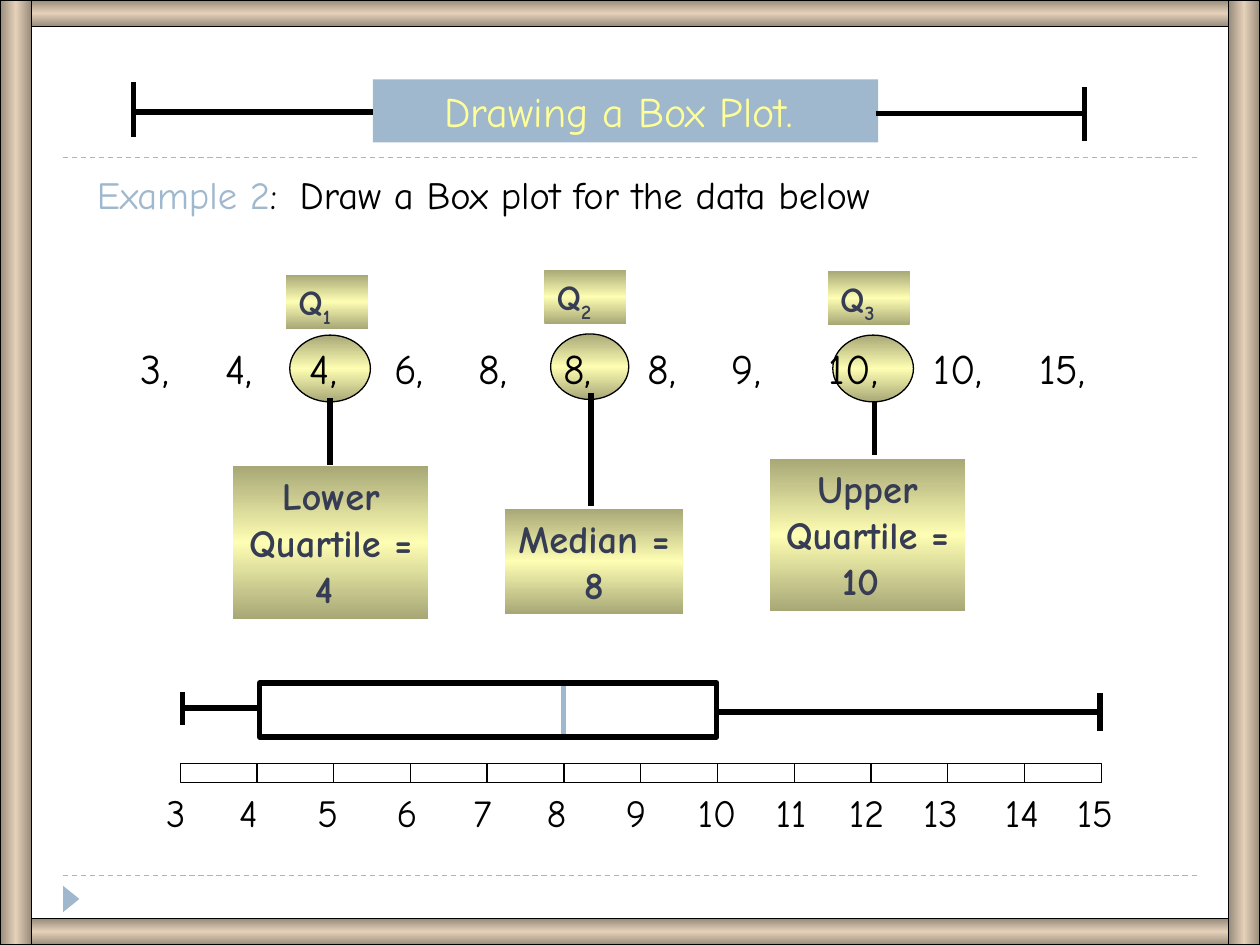
from copy import deepcopy

from lxml import etree
from pptx import Presentation
from pptx.dml.color import RGBColor
from pptx.enum import dml, shapes, text
from pptx.oxml.ns import qn
from pptx.util import Inches, Pt

COLORS = {
    "black": "000000",
    "blue": "9FB8CD",
    "navy": "363C53",
    "yellow": "FFFF99",
    "olive": "A8A877",
    "cream": "FDFDB3",
    "brown": "988B7B",
    "tan": "E5D1B9",
}
RGB = {name: RGBColor.from_string(value) for name, value in COLORS.items()}
FONT = "Comic Neue"
GOLD = ("olive", "cream", 90)
RECTANGLE = shapes.MSO_SHAPE.RECTANGLE
CENTER = text.PP_ALIGN.CENTER

presentation = Presentation()
presentation.slide_width = Inches(10)
presentation.slide_height = Inches(7.5)
slide = presentation.slides.add_slide(presentation.slide_layouts[6])


def add_line(x1, y1, x2, y2, color="black", width=3):
    line = slide.shapes.add_connector(
        shapes.MSO_CONNECTOR.STRAIGHT, Inches(x1), Inches(y1), Inches(x2), Inches(y2))
    line.line.color.rgb = RGB[color]
    line.line.width = Pt(width)
    etree.SubElement(line._element.spPr, qn("a:effectLst"))
    return line


def add_box(kind, left, top, width, height, fill=None, line=0, words="",
            size=22, color="black", bold=False, align=None, tabs=()):
    """Add a shape, or a text box if kind is None; a (edge, middle, angle) fill is a gradient."""
    place = [Inches(length) for length in (left, top, width, height)]
    if kind is None:
        shape = slide.shapes.add_textbox(*place)
    else:
        shape = slide.shapes.add_shape(kind, *place)
        shape.shadow.inherit = False
        if fill is None:
            shape.fill.background()
        elif isinstance(fill, str):
            shape.fill.solid()
            shape.fill.fore_color.rgb = RGB[fill]
        else:
            edge, middle, angle = fill
            shape.fill.gradient()
            shape.fill.gradient_angle = angle
            stop_list = shape._element.spPr.find(qn("a:gradFill")).find(qn("a:gsLst"))
            stop_list.append(deepcopy(stop_list[0]))
            for i, stop in enumerate(shape.fill.gradient_stops):
                stop.position = i / 2
                stop.color.rgb = RGB[middle if i == 1 else edge]
        if line:
            shape.line.color.rgb = RGB["black"]
            shape.line.width = Pt(line)
        else:
            shape.line.fill.background()
    if words:
        frame = shape.text_frame
        frame.word_wrap = True
        frame.vertical_anchor = text.MSO_ANCHOR.TOP
        paragraph = frame.paragraphs[0]
        paragraph.alignment = align or text.PP_ALIGN.LEFT
        if tabs:
            tab_list = etree.SubElement(paragraph._p.get_or_add_pPr(), qn("a:tabLst"))
            for tab in tabs:
                etree.SubElement(tab_list, qn("a:tab"), pos=str(Inches(tab)), algn="l")
        paragraph.font.name = FONT
        paragraph.font.size = Pt(size)
        paragraph.font.bold = bold
        paragraph.font.color.rgb = RGB[color]
        paragraph.add_run().text = words
    return shape


# Dashed rules and corner marker
for y in (6.95, 1.25):
    add_line(0.5, y, 9.5, y, "blue", 0.75).line.dash_style = dml.MSO_LINE.DASH
marker = add_box(shapes.MSO_SHAPE.ISOSCELES_TRIANGLE, 0.46, 7.07, 0.21, 0.13, "blue")
marker.rotation = 90

# Quartiles: ring, pointer, result box and Q label
quartiles = [
    ("3", (6.61, 2.66, 0.64, 0.53), (6.94, 3.18, 3.61),
     (6.11, 3.64, 1.55, 1.21), "Upper Quartile = 10 ", (6.57, 2.15)),
    ("1", (2.3, 2.66, 0.64, 0.53), (2.62, 3.16, 3.69),
     (1.85, 3.7, 1.55, 1.21), "Lower Quartile = 4 ", (2.27, 2.18)),
    ("2", (4.37, 2.65, 0.62, 0.52), (4.69, 3.12, 4.02),
     (4.01, 4.04, 1.41, 0.83), "Median = 8", (4.32, 2.14)),
]
for number, ring, (x, top, bottom), result, words, label in quartiles:
    add_box(shapes.MSO_SHAPE.OVAL, *ring, GOLD, 0.75)
    add_box(RECTANGLE, *result, GOLD, words=words, color="navy", bold=True, align=CENTER)
    add_line(x, top, x, bottom)
    name = add_box(RECTANGLE, *label, 0.65, 0.43, GOLD, words="Q",
                   size=20, color="navy", bold=True)
    subscript = name.text_frame.paragraphs[0].add_run()
    subscript.text = number
    subscript._r.get_or_add_rPr().set("baseline", "-25000")

# Data row and task
data = (3, 4, 4, 6, 8, 8, 8, 9, 10, 10, 15)
data_tabs = [round(0.67 * i, 2) for i in range(1, 8)] + [5.46, 6.29, 7.13]
add_box(None, 1.02, 2.67, 8.12, 0.5, words="\t".join(f"{value}," for value in data),
        size=24, tabs=data_tabs)
task = add_box(None, 0.67, 1.31, 9.02, 0.47, words="Example 2", tabs=[1.61])
task_paragraph = task.text_frame.paragraphs[0]
task_paragraph.runs[0].font.color.rgb = RGB["blue"]
task_paragraph.add_run().text = ":\tDraw a Box plot for the data below"

# Title as a box plot
add_box(RECTANGLE, 2.96, 0.63, 4.01, 0.5, "blue", words="Drawing a Box Plot. ",
        size=24, color="yellow", align=CENTER)
add_line(6.95, 0.9, 8.63, 0.9)
add_line(8.61, 0.69, 8.61, 1.12)
add_line(2.96, 0.89, 1.07, 0.89)
add_line(1.06, 0.65, 1.06, 1.09)

# Box plot
add_line(4.47, 5.84, 4.47, 5.42, "blue")
add_box(RECTANGLE, 2.06, 5.42, 3.63, 0.43, line=3)
add_line(1.45, 5.62, 2.06, 5.62)
add_line(1.45, 5.49, 1.45, 5.75)
add_line(5.71, 5.65, 8.75, 5.65)
add_line(8.73, 5.5, 8.73, 5.8)

# Scale from 3 to 15
cell_width = 7.31 / 12
for i in range(12):
    add_box(RECTANGLE, 1.43 + i * cell_width, 6.06, cell_width, 0.15, line=0.75)
label_lefts = (1.22, 1.8, 2.42, 3.05, 3.66, 4.24, 4.87, 5.44, 6.06, 6.64, 7.23, 7.88, 8.45)
for value, left in enumerate(label_lefts, start=3):
    add_box(None, left, 6.21, 0.67, 0.47, words=str(value))

# Frame
for top in (0, 7.29):
    add_box(RECTANGLE, 0, top, 10, 0.21, ("brown", "tan", 90), 0.75)
for left in (0, 9.75):
    add_box(RECTANGLE, left, 0, 0.25, 7.5, ("brown", "tan", 0), 0.75)

presentation.save("out.pptx")
